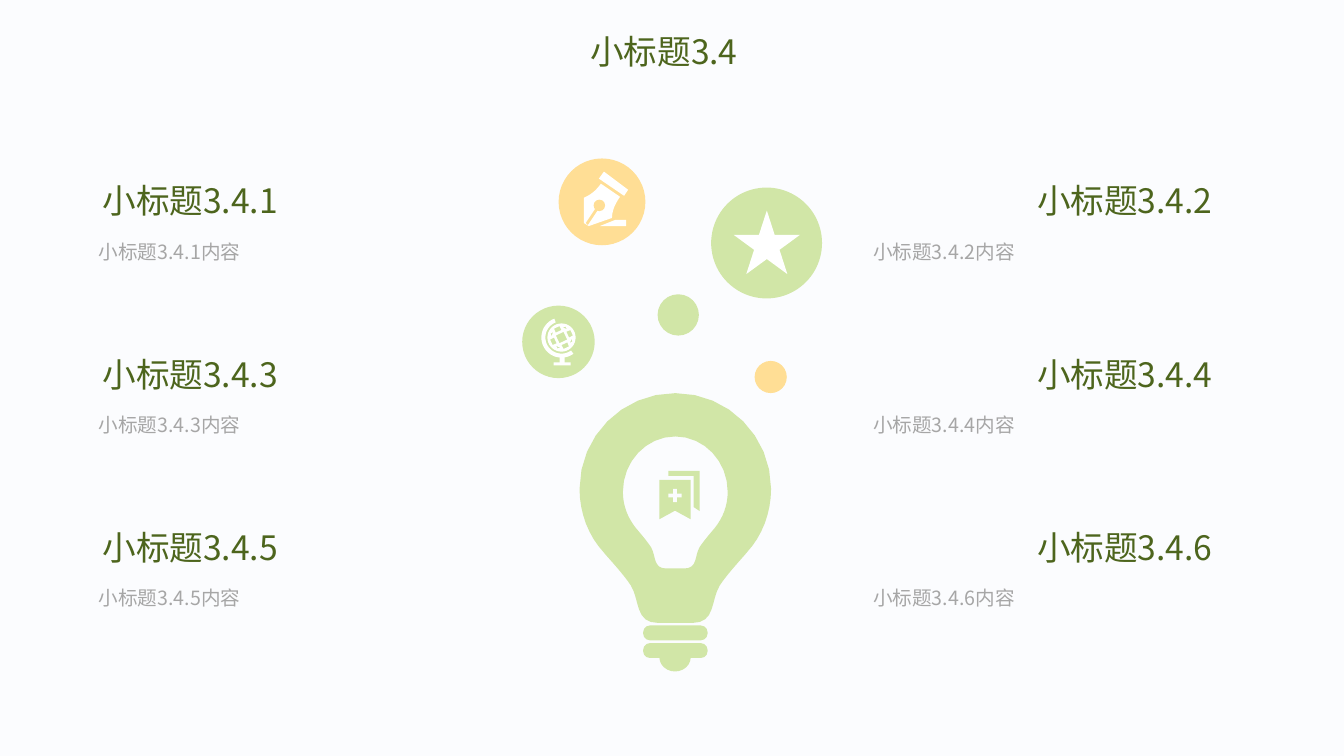
import math
from pptx import Presentation
from pptx import util as u
from pptx.dml import color
from pptx.enum import shapes, text
from lxml import etree

FONT = "Noto Sans CJK SC"
LIME, GOLD, WHITE = "D1E6A7", "FFDE95", "FFFFFF"
MOSS, GREY, PAPER = "4D651D", "A6A6A6", "FBFCFE"
UNIT = 0.72
STEPS = 8
KIND = shapes.MSO_SHAPE
NS = "http://schemas.openxmlformats.org/drawingml/2006/main"

SHELL = [(95, 0), (42, 0, 0, 43, 0, 95), (0, 119, 9, 142, 24, 158),
         (28, 163, 44, 180, 51, 191), (60, 206, 55, 228, 78, 228)]
HOLLOW = [(95, 43), (66, 43, 43, 68, 43, 98), (43, 112, 48, 124, 56, 134),
          (62, 141, 67, 147, 71, 153), (76, 162, 73, 174, 86, 174)]
NIB = [(0, 51), (0, 26), (7, 23, 12, 19, 17, 12), (36, 25),
       (31, 32, 28, 39, 28, 46), (5, 54)]


def paint(item, shade):
    item.shadow.inherit = False
    item.fill.solid()
    item.fill.fore_color.rgb = color.RGBColor.from_string(shade)
    item.line.fill.background()
    return item


def trace(loop):
    dots = [loop[0]]
    for seg in loop[1:]:
        if len(seg) == 2:
            dots.append(seg)
            continue
        start, one, two, end = dots[-1], seg[:2], seg[2:4], seg[4:]
        for n in range(1, STEPS + 1):
            t = n / STEPS
            s = 1 - t
            dots.append(tuple(
                s**3 * a + 3 * s * s * t * b + 3 * s * t * t * c + t**3 * d
                for a, b, c, d in zip(start, one, two, end)))
    return dots


def mirror(half, axis):
    dots = trace(half)
    return dots + [(2 * axis - a, b) for a, b in reversed(dots)]


def polar(pairs):
    return [(r * math.cos(math.radians(deg)), r * math.sin(math.radians(deg)))
            for r, deg in pairs]


def draw(on, x, y, loops, shade):
    pen = None
    for loop in loops:
        dots = [(u.Pt(x + a * UNIT), u.Pt(y + b * UNIT)) for a, b in trace(loop)]
        if pen is None:
            pen = on.build_freeform(*dots[0], scale=1.0)
        else:
            pen.move_to(*dots[0])
        pen.add_line_segments(dots[1:], close=True)
    paint(pen.convert_to_shape(), shade)


def stamp(on, kind, x, y, w, h, shade):
    item = on.add_shape(kind, u.Pt(x), u.Pt(y), u.Pt(w), u.Pt(h))
    return paint(item, shade)


def write(on, x, y, w, h, words, size, shade, space=None, align=None):
    box = on.add_textbox(u.Pt(x), u.Pt(y), u.Pt(w), u.Pt(h))
    frame = box.text_frame
    frame.word_wrap = True
    frame.auto_size = text.MSO_AUTO_SIZE.SHAPE_TO_FIT_TEXT
    para = frame.paragraphs[0]
    para.alignment = align
    para.line_spacing = space
    run = para.add_run()
    run.text = words
    font = run.font
    font.size = u.Pt(size)
    font.color.rgb = color.RGBColor.from_string(shade)
    font.name = FONT
    etree.SubElement(run._r.get_or_add_rPr(), f"{{{NS}}}ea", typeface=FONT)


def lamp(slide, x, y):
    on = slide.shapes.add_group_shape().shapes
    draw(on, x, y, [mirror(SHELL, 95), mirror(HOLLOW, 95)], LIME)
    for drop in (166, 178.6):
        ring = stamp(on, KIND.ROUNDED_RECTANGLE, x + 45.4, y + drop, 46, 10.6, LIME)
        ring.adjustments[0] = 0.45
    stamp(on, KIND.OVAL, x + 57, y + 178.6, 22.4, 20.2, LIME)
    draw(on, x + 57, y + 56 + 6, [mirror([(15.5, 0), (0, 0), (0, 39), (15.5, 30.5)], 15.5)], LIME)
    plus = stamp(on, KIND.CROSS, x + 63.5, y + 68.4, 9.4, 9.4, PAPER)
    plus.adjustments[0] = 0.36
    draw(on, x + 63.5, y + 55.5,
         [[(0, 0), (31, 0), (31, 40), (25, 36), (25, 5), (0, 5)]], LIME)


def disc(slide, x, y, size, shade):
    on = slide.shapes.add_group_shape().shapes
    stamp(on, KIND.OVAL, x, y, size, size, shade)
    return on


def quill(slide, x, y, size):
    on = disc(slide, x, y, size, GOLD)
    x, y = x + 18, y + 9.4
    draw(on, x, y, [NIB, [(16, 54), (42, 54), (42, 48), (31, 48)],
                    [(40, 24), (44, 18), (20, 0), (15, 7)]], WHITE)
    draw(on, x, y, [[(2, 51), (12, 36), (14, 38), (4, 53)]], GOLD)
    stamp(on, KIND.OVAL, x + 7, y + 20, 8.2, 8.2, GOLD)


def globe(slide, x, y, size):
    on = disc(slide, x, y, size, LIME)
    x, y = x + 28.1, y + 22.8
    ball = [(14, deg) for deg in range(0, 360, 10)]
    panes = [[(6, 20 + 90 * k) for k in range(4)]]
    for turn in range(65, 425, 90):
        panes.append([(7.5, turn - 25), (7.5, turn + 25),
                      (11.5, turn + 15), (11.5, turn - 15)])
        panes.append([(10, turn + 31), (11.5, turn + 45), (10, turn + 59)])
    draw(on, x, y, [polar(loop) for loop in [ball] + panes], WHITE)
    sweep = range(54, 250, 5)
    arm = [(20, deg) for deg in sweep] + [(16, deg) for deg in reversed(sweep)]
    draw(on, x, y, [polar(arm)], WHITE)
    stamp(on, KIND.RECTANGLE, x - 1.4, y + 13.5, 3.6, 5, WHITE)
    stamp(on, KIND.RECTANGLE, x - 5.7, y + 17.7, 12.2, 2.2, WHITE)


def star(slide, x, y, size):
    on = disc(slide, x, y, size, LIME)
    stamp(on, KIND.STAR_5_POINT, x + 16, y + 16.4, 47.5, 45.4, WHITE)


def block(slide, x, y, shift, num):
    on = slide.shapes.add_group_shape().shapes
    write(on, x + shift, y, 160, 36, f"小标题3.4.{num}", 24, MOSS)
    write(on, x, y + 37.4, 284.4, 27.4, f"小标题3.4.{num}内容", 14, GREY, 1.3)


def main():
    deck = Presentation()
    deck.slide_width, deck.slide_height = u.Pt(960), u.Pt(540)
    slide = deck.slides.add_slide(deck.slide_layouts[6])
    back = slide.background.fill
    back.solid()
    back.fore_color.rgb = color.RGBColor.from_string(PAPER)
    write(slide.shapes, 414.5, 18.7, 131, 36, "小标题3.4", 24, MOSS,
          align=text.PP_ALIGN.JUSTIFY)
    lamp(slide, 414, 280.8)
    quill(slide, 399, 113.2, 62)
    star(slide, 508, 134, 79.2)
    stamp(slide.shapes, KIND.OVAL, 469.7, 210.2, 29.5, 29.5, LIME)
    globe(slide, 373, 218.3, 51.8)
    stamp(slide.shapes, KIND.OVAL, 539, 257.8, 23, 23, GOLD)
    for col, (x, shift) in enumerate([(63.2, 2.9), (616.5, 117.2)]):
        for row in range(3):
            block(slide, x, 125.3 + row * 123.8, shift, 2 * row + col + 1)
    deck.save("out.pptx")


if __name__ == "__main__":
    main()
